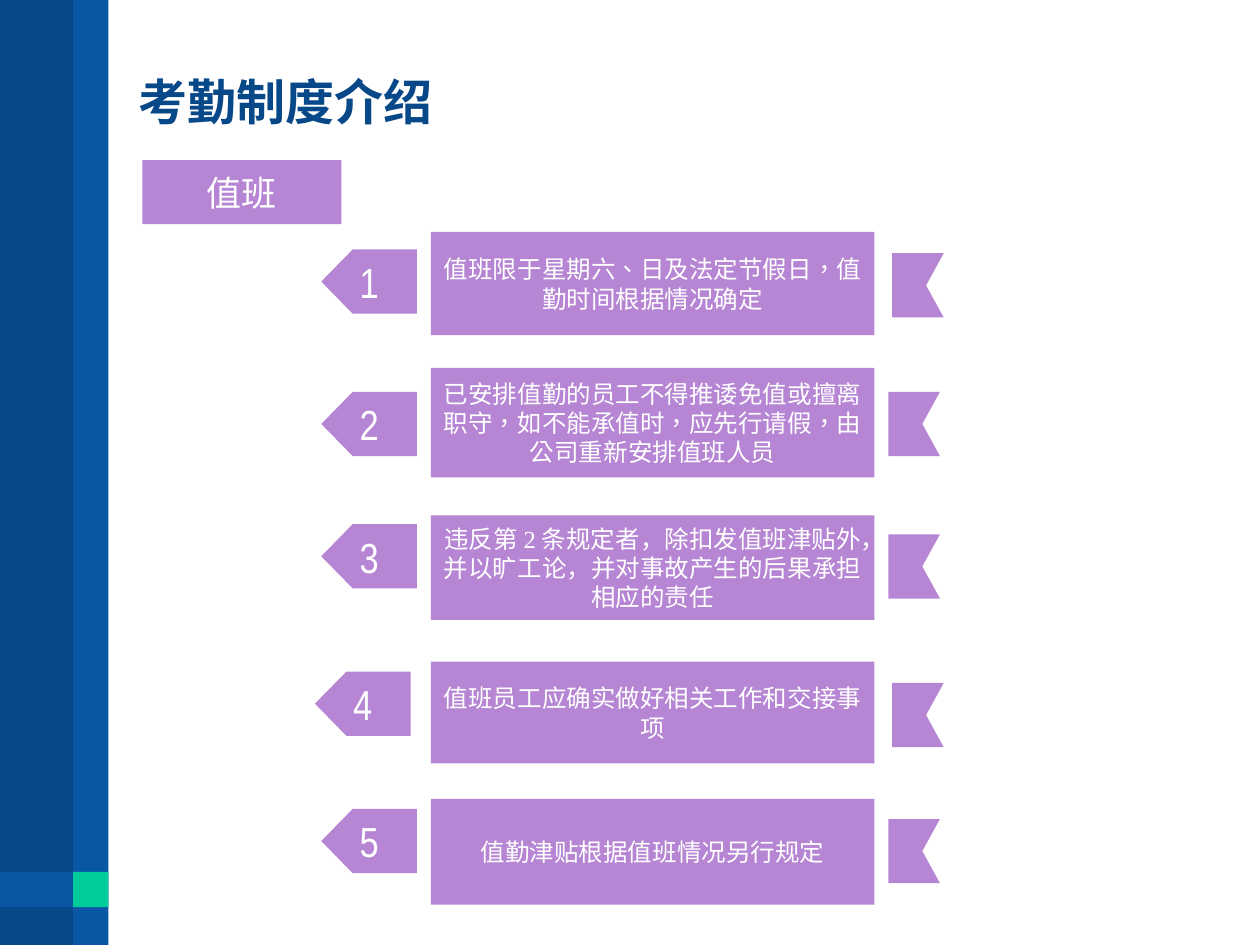
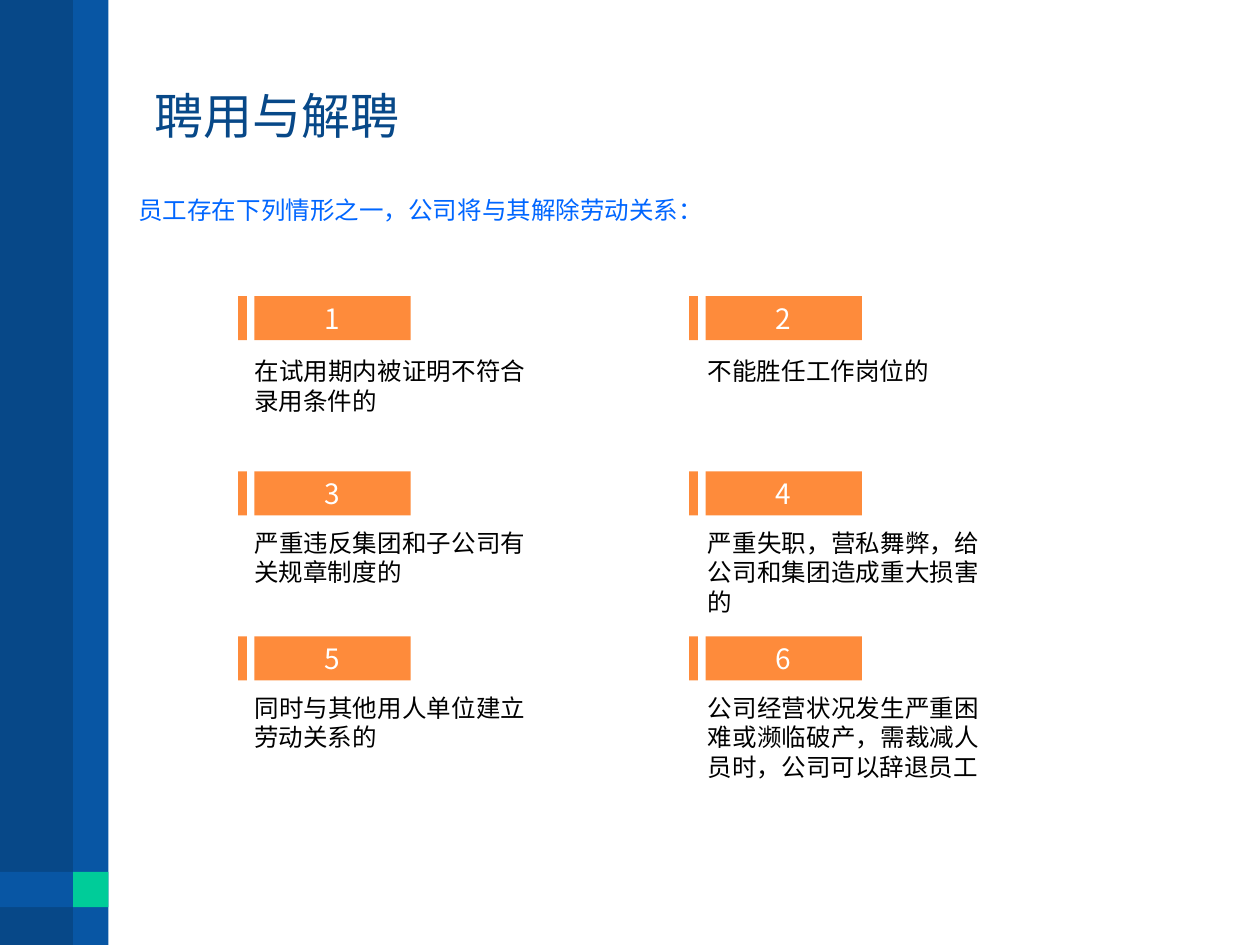
from dataclasses import dataclass

from lxml.etree import SubElement
from pptx import Presentation
from pptx.dml.color import RGBColor
from pptx.enum.lang import MSO_LANGUAGE_ID
from pptx.enum.shapes import MSO_SHAPE
from pptx.enum.text import MSO_ANCHOR, MSO_AUTO_SIZE, PP_ALIGN
from pptx.oxml.ns import qn
from pptx.util import Inches, Pt

COLUMNS, ROWS = 100, 75
SIMPLIFIED = MSO_LANGUAGE_ID.SIMPLIFIED_CHINESE
TRADITIONAL = MSO_LANGUAGE_ID.TRADITIONAL_CHINESE


@dataclass(frozen=True)
class Theme:
    """Colours, fonts and type sizes of the deck."""
    navy: str = "074888"
    blue: str = "0856A4"
    green: str = "00CC99"
    purple: str = "B686D4"
    orange: str = "FE8B3B"
    lead_blue: str = "0066FF"
    white: str = "FFFFFF"
    black: str = "000000"
    sans: str = "Noto Sans CJK SC"
    serif: str = "Times New Roman"
    narrow: str = "Arial Narrow"
    heading: str = "Arial"
    title_size: int = 28
    tag_size: int = 24
    section_size: int = 20
    number_size: int = 16
    body_size: int = 14


THEME = Theme()

BANDS = [
    (0, 0, 8.3, ROWS, THEME.navy),
    (5.8, 0, 2.8, ROWS, THEME.blue),
    (0, 69.2, 8.3, 2.8, THEME.blue),
    (5.8, 69.2, 2.8, 2.8, THEME.green),
]

# Each duty rule: text, language, tag corner, body top and height, ribbon corner.
DUTY_RULES = [
    ("值班限于星期六、日及法定节假日，值勤时间根据情况确定", TRADITIONAL,
     (25.5, 19.8), (18.4, 8.2), (70.8, 20.1)),
    ("已安排值勤的员工不得推诿免值或擅离职守，如不能承值时，应先行请假，由公司重新安排值班人员",
     TRADITIONAL, (25.5, 31.1), (29.2, 8.7), (70.5, 31.1)),
    ("违反第2条规定者，除扣发值班津贴外，并以旷工论，并对事故产生的后果承担相应的责任", SIMPLIFIED,
     (25.5, 41.6), (40.9, 8.3), (70.5, 42.4)),
    ("值班员工应确实做好相关工作和交接事项", SIMPLIFIED,
     (25, 53.3), (52.5, 8.1), (70.8, 54.2)),
    ("值勤津贴根据值班情况另行规定", SIMPLIFIED,
     (25.5, 64.2), (63.4, 8.4), (70.5, 65)),
]
TAG_OUTLINE = [(7.6, 0), (2.5, 0), (0, 2.55), (2.5, 5.1), (7.6, 5.1)]
RIBBON_OUTLINE = [(0, 0), (4.1, 0), (2.7, 2.55), (4.1, 5.1), (0, 5.1)]

DISMISSAL_CASES = [
    "在试用期内被证明不符合录用条件的",
    "不能胜任工作岗位的",
    "严重违反集团和子公司有关规章制度的",
    "严重失职，营私舞弊，给公司和集团造成重大损害的",
    "同时与其他用人单位建立劳动关系的",
    "公司经营状况发生严重困难或濒临破产，需裁减人员时，公司可以辞退员工",
]
CASE_ROWS = [(23.5, 27.8), (37.4, 41.4), (50.5, 54.5)]
CASE_COLUMNS = [(18.9, 19.2), (54.7, 55.2)]


def grid(*cells):
    """Turn grid columns or rows into lengths."""
    return [Inches(cell * 10 / COLUMNS) for cell in cells]


def write(shape, text, size, color, font, align=PP_ALIGN.CENTER,
          anchor=MSO_ANCHOR.MIDDLE, language=SIMPLIFIED, bold=False):
    """Write one run of text into a shape and return its paragraph."""
    frame = shape.text_frame
    frame.word_wrap = True
    frame.vertical_anchor = anchor
    paragraph = frame.paragraphs[0]
    paragraph.alignment = align
    run = paragraph.add_run()
    run.text = text
    run.font.size = Pt(size)
    run.font.bold = bold
    run.font.name = font
    run.font.color.rgb = RGBColor.from_string(color)
    run.font.language_id = language
    SubElement(run.font._element, qn("a:ea")).set("typeface", THEME.sans)
    return paragraph


def paint(shape, color):
    """Give a shape a flat fill without line or shadow."""
    shape.fill.solid()
    shape.fill.fore_color.rgb = RGBColor.from_string(color)
    shape.line.fill.background()
    shape.shadow.inherit = False
    return shape


def add_block(slide, left, top, width, height, color):
    """Add a flat rectangle placed on the grid."""
    return paint(slide.shapes.add_shape(
        MSO_SHAPE.RECTANGLE, *grid(left, top, width, height)), color)


def add_outline(slide, corner, outline, color):
    """Add a flat polygon whose points are offsets from its corner."""
    left, top = corner
    points = [grid(left + x, top + y) for x, y in outline]
    builder = slide.shapes.build_freeform(*points[0])
    builder.add_line_segments(points[1:], close=True)
    return paint(builder.convert_to_shape(), color)


def add_note(slide, left, top, width, height, text, color, align):
    """Add a body text box that grows with its text."""
    note = slide.shapes.add_textbox(*grid(left, top, width, height))
    write(note, text, THEME.body_size, color, THEME.serif, align, MSO_ANCHOR.TOP)
    note.text_frame.auto_size = MSO_AUTO_SIZE.SHAPE_TO_FIT_TEXT


def add_titled_slide(deck, text, place, font, bold=False):
    """Add a title-only slide and format its title."""
    slide = deck.slides.add_slide(deck.slide_layouts[5])
    title = slide.shapes.title
    title.left, title.top, title.width, title.height = grid(*place)
    title.text_frame.auto_size = MSO_AUTO_SIZE.NONE
    paragraph = write(title, text, THEME.title_size, THEME.navy, font,
                      PP_ALIGN.LEFT, bold=bold)
    paragraph.line_spacing = Pt(32)
    return slide


def move_bands_to_layout(slide):
    """Draw the side bands and hand them to the layout that slides share."""
    layout_tree = slide.slide_layout.shapes.element
    for position, band in enumerate(BANDS, start=2):
        layout_tree.insert(position, add_block(slide, *band).element)


def add_duty_rule(slide, number, text, language, tag_corner, body_span, ribbon_corner):
    """Add one duty rule: numbered tag, text body and ribbon tail."""
    tag = add_outline(slide, tag_corner, TAG_OUTLINE, THEME.purple)
    write(tag, str(number), THEME.tag_size, THEME.white, THEME.narrow)
    top, height = body_span
    body = add_block(slide, 34.2, top, 35.2, height, THEME.purple)
    write(body, text, THEME.body_size, THEME.white, THEME.serif, language=language)
    add_outline(slide, ribbon_corner, RIBBON_OUTLINE, THEME.purple)


def add_dismissal_case(slide, index, text):
    """Add one dismissal case: accent bar, number and description."""
    row, column = divmod(index, len(CASE_COLUMNS))
    bar_top, note_top = CASE_ROWS[row]
    bar_left, note_left = CASE_COLUMNS[column]
    add_block(slide, bar_left, bar_top, 0.7, 3.5, THEME.orange)
    label = add_block(slide, bar_left + 1.3, bar_top, 12.4, 3.5, THEME.orange)
    write(label, str(index + 1), THEME.number_size, THEME.white, THEME.sans)
    add_note(slide, note_left, note_top, 23.5, 5.7, text, THEME.black, PP_ALIGN.JUSTIFY)


def build_duty_slide(deck):
    """Build the slide on duty rules."""
    slide = add_titled_slide(deck, "考勤制度介绍", (10, 0.9, 86.3, 14.5),
                             THEME.heading, bold=True)
    move_bands_to_layout(slide)
    for number, rule in enumerate(DUTY_RULES, start=1):
        add_duty_rule(slide, number, *rule)
    section = add_block(slide, 11.3, 12.7, 15.8, 5.1, THEME.purple)
    write(section, "值班", THEME.section_size, THEME.white, THEME.sans)


def build_dismissal_slide(deck):
    """Build the slide on hiring and dismissal."""
    slide = add_titled_slide(deck, "聘用与解聘", (11.3, 3, 88.7, 12.5), THEME.sans)
    add_note(slide, 10, 15, 59.9, 3.4, "员工存在下列情形之一，公司将与其解除劳动关系：",
             THEME.lead_blue, PP_ALIGN.LEFT)
    for index, case in enumerate(DISMISSAL_CASES):
        add_dismissal_case(slide, index, case)


def main():
    """Build and save the deck."""
    deck = Presentation()
    deck.slide_width, deck.slide_height = grid(COLUMNS, ROWS)
    build_duty_slide(deck)
    build_dismissal_slide(deck)
    deck.save("out.pptx")


if __name__ == "__main__":
    main()
